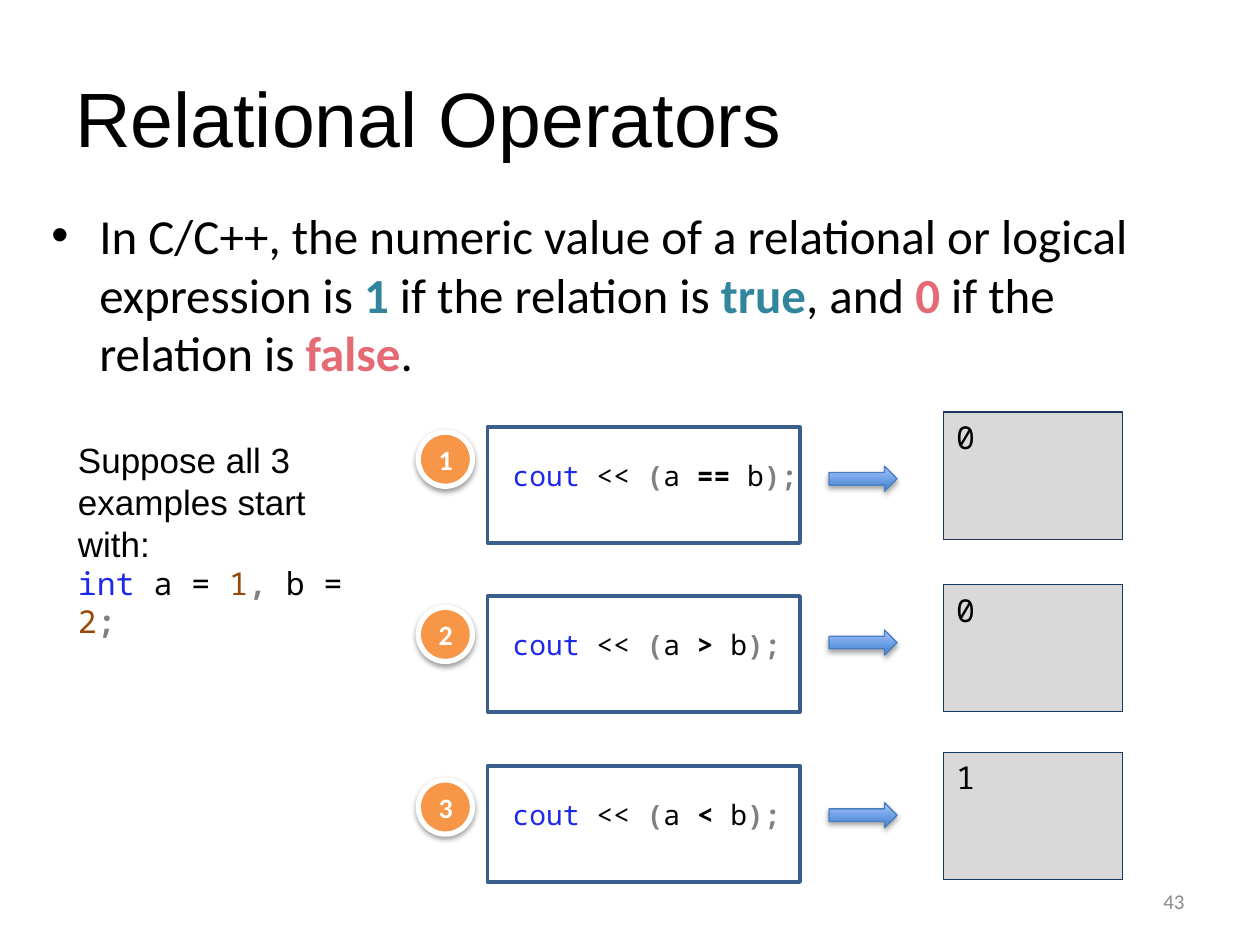
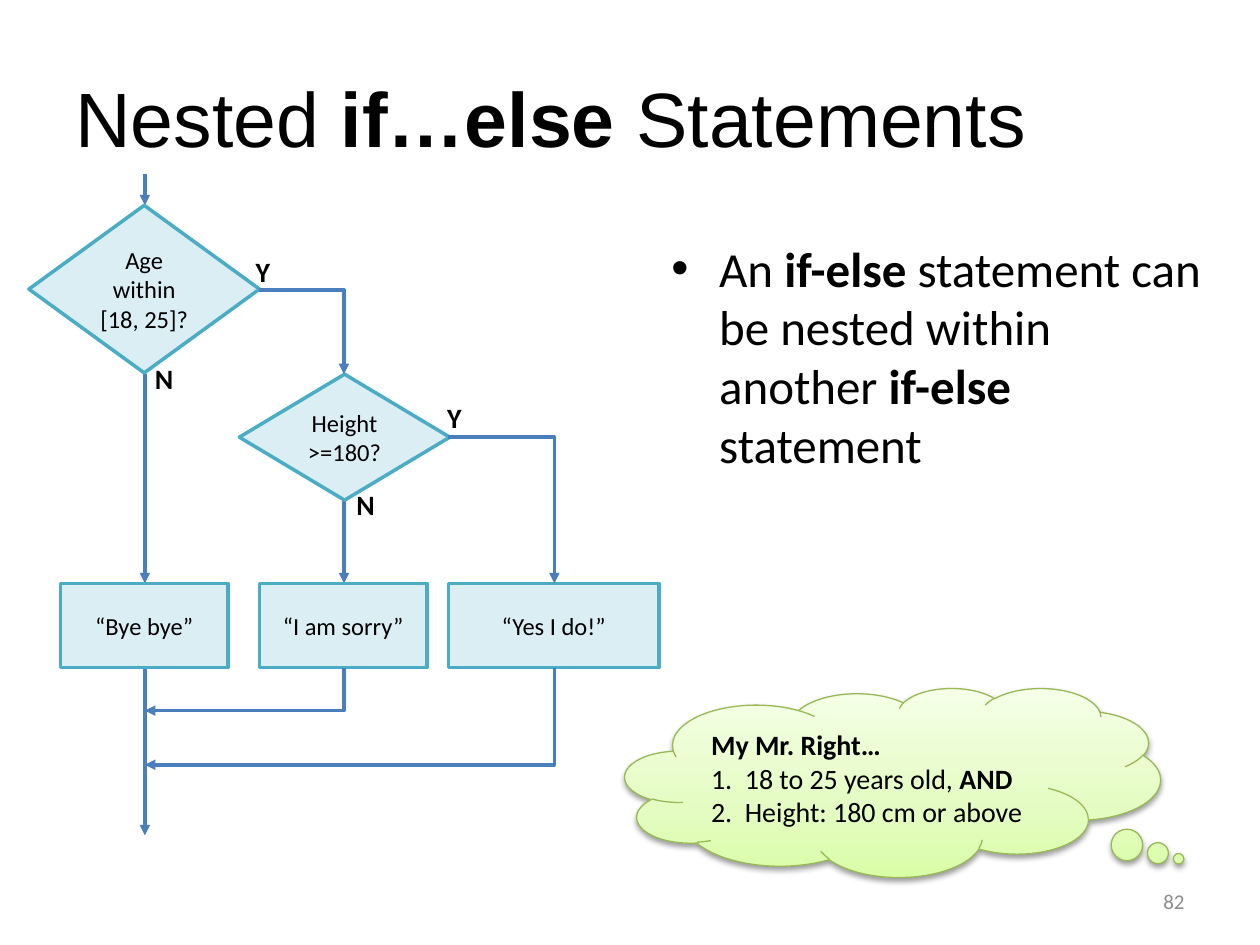
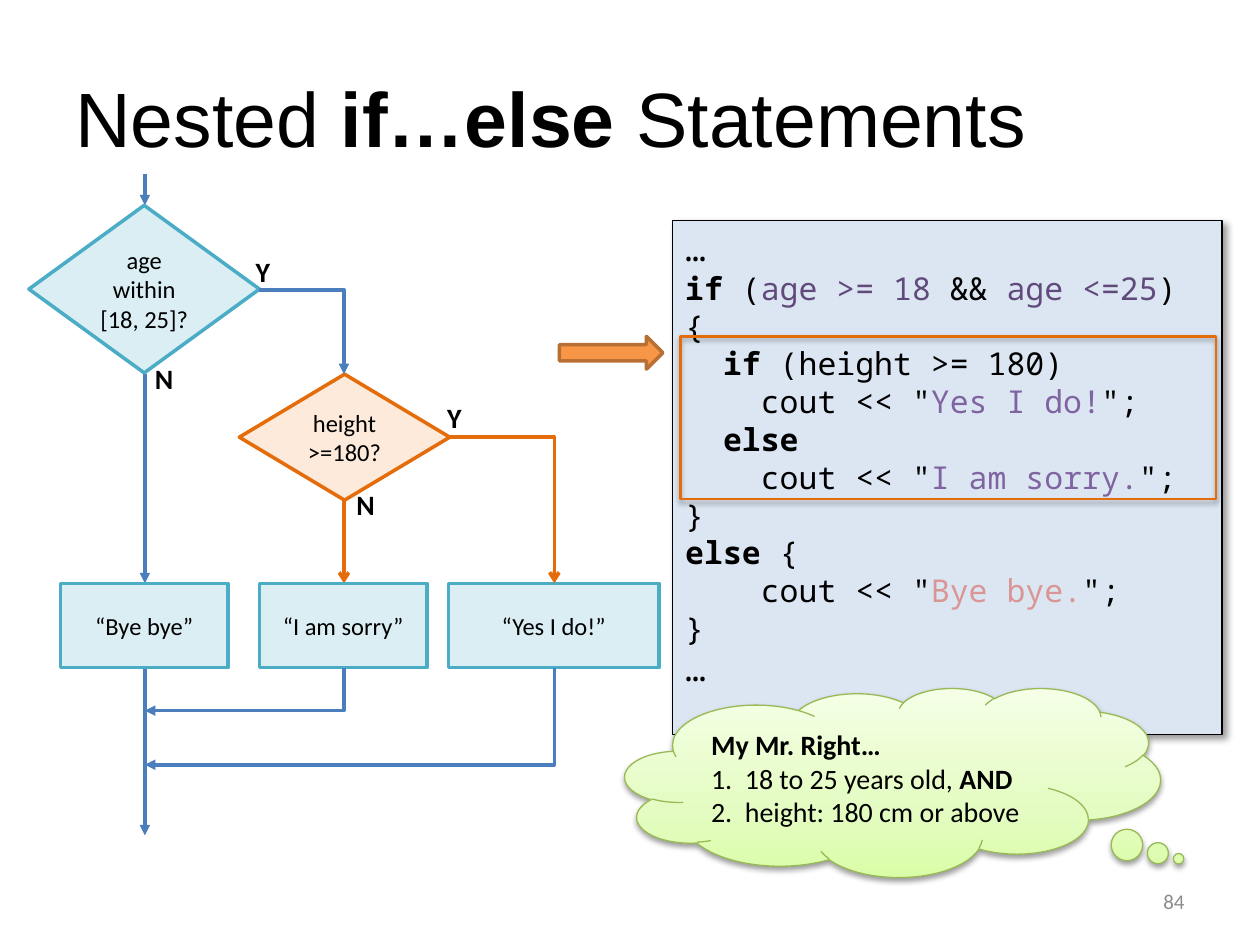
from lxml.etree import SubElement
from pptx import Presentation
from pptx.dml.color import RGBColor
from pptx.enum.shapes import MSO_CONNECTOR as LINK, MSO_SHAPE as KIND
from pptx.enum.text import MSO_ANCHOR as ANCHOR, MSO_AUTO_SIZE as FIT, PP_ALIGN as ALIGN
from pptx.oxml.ns import qn
from pptx.util import Inches, Pt

SANS, BODY, MONO = "Arial", "Calibri", "Noto Sans Mono"
BLACK, WHITE, GREY, GREEN = "000000", "FFFFFF", "808080", "31859C"
BLUE, ORANGE, DARK, RED = "4B7EBC", "E46C0A", "984807", "E46B73"
KEY, VIOLET, PURPLE, PINK = "1E28EA", "604A7B", "8064A2", "D99694"
AMBER = "F79646"
GLOW = (BLACK, 38, 3.1, 1.6, 90)
SOFT = (BLACK, 35, 3.1, 1.8, 90)
DROP = (BLACK, 40, 4, 3, 45)
SKY = [(0, "3F80CE"), (100, "A4C4FF")]
LIME = [(0, "DAFDA7"), (35, "E4FCC2"), (100, "F5FFE7")]


def rgb(code):
    return RGBColor.from_string(code)


def bold(text, color=BLACK):
    return text, color, True


def para(frame, runs, size, font=BODY, align=ALIGN.LEFT, bullet=False):
    """Add a paragraph; a run is a string or (text, colour[, bold])."""
    item = frame.add_paragraph() if frame.text else frame.paragraphs[0]
    item.alignment = align
    if bullet:
        props = item._p.get_or_add_pPr()
        props.set("marL", str(Inches(0.38)))
        props.set("indent", str(-Inches(0.38)))
        SubElement(props, qn("a:buFont")).set("typeface", SANS)
        SubElement(props, qn("a:buChar")).set("char", "•")
    for part in runs:
        if part == "\n":
            item.add_line_break()
            continue
        text, color, *strong = (part, BLACK) if isinstance(part, str) else part
        run = item.add_run()
        run.text = text
        run.font.name, run.font.size = font, Pt(size)
        run.font.bold = bool(strong)
        run.font.color.rgb = rgb(color)


def add_box(slide, left, top, width, height, anchor=ANCHOR.TOP, wrap=True):
    box = slide.shapes.add_textbox(*map(Inches, (left, top, width, height)))
    frame = box.text_frame
    frame.word_wrap, frame.vertical_anchor = wrap, anchor
    if not wrap:
        frame.auto_size = FIT.SHAPE_TO_FIT_TEXT
    return frame


def fade(shape, stops):
    """Fill a shape with a gradient that rises from its bottom edge."""
    shape.fill.gradient()
    grad = shape._element.spPr.find(qn("a:gradFill"))
    items = grad.find(qn("a:gsLst"))
    for old in list(items):
        items.remove(old)
    for place, color in stops:
        stop = SubElement(items, qn("a:gs"), pos=str(place * 1000))
        SubElement(stop, qn("a:srgbClr"), val=color)
    grad.find(qn("a:lin")).set("ang", str(270 * 60000))


def shade(shape, color, alpha, blur, dist, angle):
    effects = shape._element.spPr.find(qn("a:effectLst"))
    outer = SubElement(effects, qn("a:outerShdw"), blurRad=str(Pt(blur)),
                       dist=str(Pt(dist)), dir=str(angle * 60000), rotWithShape="0")
    tint = SubElement(outer, qn("a:srgbClr"), val=color)
    SubElement(tint, qn("a:alpha"), val=str(alpha * 1000))


def add_shape(slide, kind, at, fill, line, width, shadow=None, anchor=ANCHOR.MIDDLE):
    shape = slide.shapes.add_shape(kind, *map(Inches, at))
    if fill is None:
        shape.fill.background()
    elif isinstance(fill, str):
        shape.fill.solid()
        shape.fill.fore_color.rgb = rgb(fill)
    else:
        fade(shape, fill)
    shape.line.color.rgb, shape.line.width = rgb(line), Pt(width)
    shape.shadow.inherit = False
    if shadow:
        shade(shape, *shadow)
    shape.text_frame.word_wrap = True
    shape.text_frame.vertical_anchor = anchor
    return shape


def link(slide, x1, y1, x2, y2, color=BLUE, head="triangle"):
    """Draw an arrow; it bends right then down, or down then left."""
    left_turn, bent = x2 < x1, x1 != x2
    ends = x1, y1, x2, y2
    if left_turn:
        midx, midy = (x1 + x2) / 2, (y1 + y2) / 2
        halfw, halfh = (y2 - y1) / 2, (x1 - x2) / 2
        ends = midx - halfw, midy - halfh, midx + halfw, midy + halfh
    line = slide.shapes.add_connector(LINK.ELBOW if bent else LINK.STRAIGHT,
                                      *map(Inches, ends))
    props = line._element.spPr
    if bent:
        props.find(qn("a:prstGeom")).set("prst", "bentConnector2")
    if left_turn:
        props.find(qn("a:xfrm")).set("rot", str(90 * 60000))
    line.line.color.rgb, line.line.width = rgb(color), Pt(2)
    SubElement(props.find(qn("a:ln")), qn("a:tailEnd"), type=head)
    SubElement(props, qn("a:effectLst"))


def add_title(slide, runs):
    para(add_box(slide, 0.5, 0.3, 9, 1.25, ANCHOR.MIDDLE), runs, 44, SANS)


def add_page(slide, number):
    frame = add_box(slide, 7.17, 6.95, 2.33, 0.4, ANCHOR.MIDDLE)
    para(frame, [(str(number), "8C8C8C")], 12, align=ALIGN.RIGHT)


def add_node(slide, kind, at, text, fill="DBEEF4", line="4BACC6"):
    node = add_shape(slide, kind, at, fill, line, 2)
    para(node.text_frame, [text], 14, align=ALIGN.CENTER)


def add_flow(slide, age, height, hot=False):
    """Draw the flowchart; hot marks the inner decision in orange."""
    inner = (ORANGE, "arrow") if hot else (BLUE, "triangle")
    paint = ("FDEADA", ORANGE) if hot else ()
    link(slide, 1.15, 1.38, 1.15, 1.63)
    link(slide, 1.15, 2.97, 1.15, 4.63)
    link(slide, 1.15, 5.3, 1.15, 6.63)
    link(slide, 2.73, 3.97, 2.73, 4.63, *inner)
    add_node(slide, KIND.FLOWCHART_DECISION, (0.23, 1.63, 1.83, 1.33),
             age + " within [18, 25]?")
    add_node(slide, KIND.FLOWCHART_DECISION, (1.9, 2.97, 1.67, 1),
             height + " >=180?", *paint)
    for left, width, words in ((0.48, 1.33, "“Bye bye”"), (2.06, 1.33, "“I am sorry”"),
                               (3.56, 1.67, "“Yes I do!”")):
        add_node(slide, KIND.RECTANGLE, (left, 4.63, width, 0.67), words)
    link(slide, 2.06, 2.3, 2.73, 2.97)
    link(slide, 3.56, 3.47, 4.4, 4.63, *inner)
    link(slide, 2.73, 5.3, 1.15, 5.64)
    link(slide, 4.4, 5.3, 1.15, 6.07)
    for left, top, mark in ((1.13, 2.82, "N"), (1.93, 1.97, "Y"),
                            (2.73, 3.82, "N"), (3.45, 3.13, "Y")):
        para(add_box(slide, left, top, 0.35, 0.37, wrap=False), [bold(mark)], 16)


def add_cloud(slide, height):
    cloud = add_shape(slide, KIND.CLOUD_CALLOUT, (4.96, 5.46, 4.25, 1.5),
                      LIME, "98B955", 0.75, GLOW)
    cloud.adjustments[0], cloud.adjustments[1] = 0.534, 0.404
    for runs in ([bold("My Mr. Right…")],
                 ["1.  18 to 25 years old, ", bold("AND")],
                 [f"2.  {height}: 180 cm or above"]):
        para(cloud.text_frame, runs, 16)


def add_case(slide, number, sign, result, box, badge, arrow, out):
    """Draw one row: numbered badge, statement, arrow and output."""
    add_shape(slide, KIND.RECTANGLE, (3.87, box, 2.48, 0.92), None, "3A5F8C", 2)
    code = add_box(slide, 3.97, box - 0.06, 3.4, 0.91)
    code.margin_top = Inches(0.31)
    para(code, [("cout ", KEY), "<< ", bold("(", GREY), "a ", bold(sign), " b",
                bold(");", GREY)], 16, MONO)
    screen = add_shape(slide, KIND.RECTANGLE, (7.49, out, 1.42, 1.01),
                       "D9D9D9", "17375E", 0.75, anchor=ANCHOR.TOP)
    para(screen.text_frame, [result], 18, MONO)
    add_shape(slide, KIND.RIGHT_ARROW, (6.58, arrow, 0.54, 0.2), SKY, BLUE, 0.75, SOFT)
    disc = add_shape(slide, KIND.OVAL, (3.32, badge, 0.43, 0.43),
                     AMBER, WHITE, 3, GLOW)
    para(disc.text_frame, [bold(str(number), WHITE)], 16, align=ALIGN.CENTER)


def add_code(slide):
    panel = add_shape(slide, KIND.RECTANGLE, (5.34, 1.75, 4.36, 4.08),
                      "DCE6F2", BLACK, 0.75, DROP, ANCHOR.TOP)
    frame = panel.text_frame
    para(frame, ["…"], 20, MONO)
    for runs in (
        [bold("if"), " (", ("age >= 18 ", VIOLET), "&& ", ("age <=25", VIOLET), ") {"],
        ["  ", bold("if"), " (height >= 180)"],
        ["    cout << \"", ("Yes I do!", PURPLE), "\";"],
        ["  ", bold("else")],
        ["    cout << \"", ("I am sorry.", PURPLE), "\";"],
        ["}"],
        [bold("else "), "{"],
        ["    cout << \"", ("Bye bye.", PINK), "\";"],
        ["}"],
    ):
        para(frame, runs, 18, MONO)
    para(frame, ["…"], 20, MONO)


def show_relations(slide):
    add_title(slide, ["Relational Operators"])
    para(add_box(slide, 0.31, 1.58, 9.39, 5.37), [
        "In C/C++, the numeric value of a relational or logical expression is ",
        bold("1", GREEN), " if the relation is ", bold("true", GREEN), ", and ",
        bold("0", RED), " if the relation is ", bold("false", RED), "."],
        28, bullet=True)
    setup = add_box(slide, 0.52, 3.43, 2.72, 1.75)
    para(setup, ["Suppose all 3 examples start ", "\n", "with:"], 20, SANS)
    para(setup, [("int", KEY), " a = ", ("1", DARK), bold(",", GREY), " b = ",
                 ("2", DARK), bold(";", GREY)], 18, MONO)
    cases = (("==", "0", 3.39, 3.43, 3.7, 3.27),
             (">", "0", 4.73, 4.82, 5, 4.64),
             ("<", "1", 6.08, 6.19, 6.37, 5.97))
    for number, case in enumerate(cases, 1):
        add_case(slide, number, *case)
    add_page(slide, 43)


NESTED = ["Nested ", bold("if…else "), "Statements"]


def show_nesting(slide):
    add_title(slide, NESTED)
    add_flow(slide, "Age", "Height")
    add_cloud(slide, "Height")
    para(add_box(slide, 5.23, 1.84, 4.47, 4.98), [
        "An ", bold("if-else "), "statement can be nested within another ",
        bold("if-else"), " statement"], 28, bullet=True)
    add_page(slide, 82)


def show_code(slide):
    add_code(slide)
    add_title(slide, NESTED)
    add_flow(slide, "age", "height", hot=True)
    add_cloud(slide, "height")
    add_page(slide, 84)
    add_shape(slide, KIND.RIGHT_ARROW, (4.44, 2.67, 0.82, 0.26), AMBER, "B76F34", 2)
    add_shape(slide, KIND.RECTANGLE, (5.4, 2.67, 4.25, 1.29), None, ORANGE, 1.5, SOFT)


def main():
    deck = Presentation()
    deck.slide_width, deck.slide_height = Inches(10), Inches(7.5)
    for show in (show_relations, show_nesting, show_code):
        show(deck.slides.add_slide(deck.slide_layouts[6]))
    deck.save("out.pptx")


if __name__ == "__main__":
    main()
